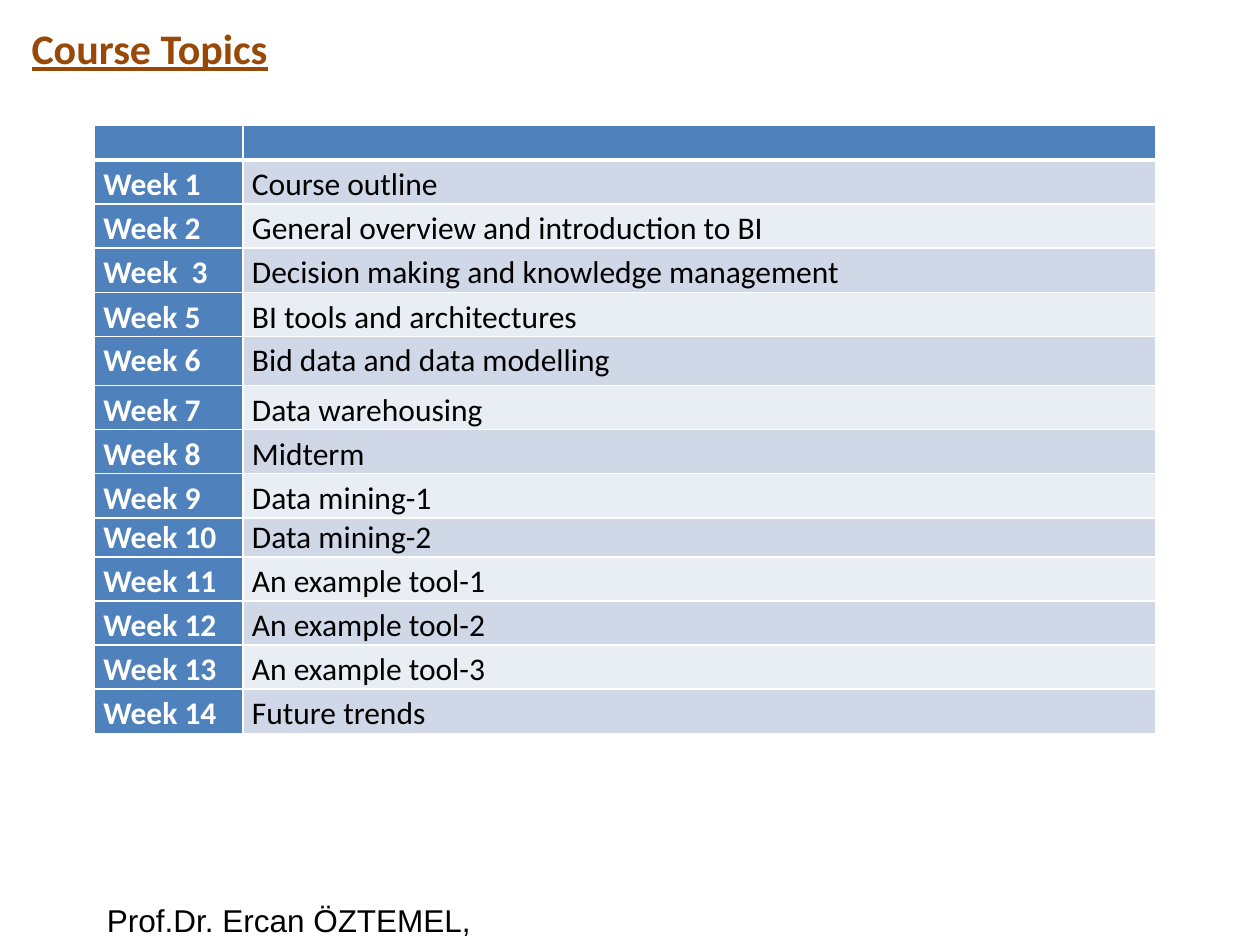
import pptx
import pptx.util
import pptx.dml.color
import pptx.enum.text
import pptx.oxml
import pptx.oxml.ns

Inches, Pt = pptx.util.Inches, pptx.util.Pt
RGB = pptx.dml.color.RGBColor
Anchor = pptx.enum.text.MSO_ANCHOR

BROWN = RGB(0x98, 0x48, 0x07)
BLUE = RGB(0x4F, 0x81, 0xBD)
BANDS = RGB(0xD0, 0xD8, 0xE8), RGB(0xE9, 0xED, 0xF4)
WHITE = RGB(0xFF, 0xFF, 0xFF)
BLACK = RGB(0, 0, 0)

TITLE = "Course Topics"
AUTHOR = "Prof.Dr. Ercan ÖZTEMEL,"
TOPICS = [
    ("Week 1", "Course outline"),
    ("Week 2", "General overview and introduction to BI"),
    ("Week  3", "Decision making and knowledge management"),
    ("Week 5", "BI tools and architectures"),
    ("Week 6", "Bid data and data modelling"),
    ("Week 7", "Data warehousing"),
    ("Week 8", "Midterm"),
    ("Week 9", "Data mining-1"),
    ("Week 10", "Data mining-2"),
    ("Week 11", "An example tool-1"),
    ("Week 12", "An example tool-2"),
    ("Week 13", "An example tool-3"),
    ("Week 14", "Future trends"),
]
WIDTHS = 1.18, 7.24
HEAD, ROW = 0.28, 0.35
SINGLE = {"Week 6": 0.39, "Week 10": 0.31}  # heights of single-spaced rows


def style(para, size, color, bold=False, face="Calibri"):
    font = para.font
    font.name, font.size, font.bold = face, Pt(size), bold
    font.color.rgb = color


def paint(cell, fill, base=1):
    """Fill a cell and give it white borders; base is the bottom width."""
    cell.fill.solid()
    cell.fill.fore_color.rgb = fill
    props = cell._tc.get_or_add_tcPr()
    for i, (side, width) in enumerate(zip("LRTB", (1, 1, 1, base))):
        props.insert(i, pptx.oxml.parse_xml(
            f'<a:ln{side} {pptx.oxml.ns.nsdecls("a")} w="{Pt(width)}">'
            f'<a:solidFill><a:srgbClr val="{WHITE}"/></a:solidFill></a:ln{side}>'))


def pad(cell, side):
    cell.margin_left = cell.margin_right = Inches(side)
    cell.margin_top = cell.margin_bottom = 0
    cell.vertical_anchor = Anchor.MIDDLE


def add_title(slide):
    title = slide.shapes.title
    title.left, title.top = Inches(0.15), Inches(0.13)
    title.width, title.height = Inches(8.5), Inches(0.65)
    frame = title.text_frame
    frame.text = TITLE
    frame.vertical_anchor = Anchor.TOP
    para = frame.paragraphs[0]
    para.alignment = pptx.enum.text.PP_ALIGN.LEFT
    style(para, 24, BROWN, True)
    para.font.underline = True


def add_topics(slide):
    heights = [HEAD] + [SINGLE.get(week, ROW) for week, _ in TOPICS]
    table = slide.shapes.add_table(
        len(heights), len(WIDTHS), Inches(0.75), Inches(0.99),
        Inches(sum(WIDTHS)), Inches(sum(heights))).table
    for col, width in zip(table.columns, WIDTHS):
        col.width = Inches(width)
    for row, height in zip(table.rows, heights):
        row.height = Inches(height)
    for cell in table.rows[0].cells:
        paint(cell, BLUE, 3)
        pad(cell, 0.1)
        end = pptx.oxml.parse_xml(
            f'<a:endParaRPr {pptx.oxml.ns.nsdecls("a")} sz="1200"/>')
        cell.text_frame.paragraphs[0]._p.append(end)
    for r, topic in enumerate(TOPICS):
        looks = (BLUE, WHITE, True), (BANDS[r % 2], BLACK, False)
        for c, (text, (fill, color, bold)) in enumerate(zip(topic, looks)):
            cell = table.cell(r + 1, c)
            cell.text = text
            paint(cell, fill)
            pad(cell, 0.07)
            para = cell.text_frame.paragraphs[0]
            para.line_spacing = 1.0 if topic[0] in SINGLE else 1.15
            style(para, 18, color, bold)


def add_author(slide):
    box = slide.shapes.add_textbox(
        Inches(0.75), Inches(7.1), Inches(3.19), Inches(0.4))
    frame = box.text_frame
    frame.word_wrap = False
    frame.auto_size = pptx.enum.text.MSO_AUTO_SIZE.SHAPE_TO_FIT_TEXT
    frame.text = AUTHOR
    style(frame.paragraphs[0], 18, BLACK, face="Arial")


def main():
    deck = pptx.Presentation()
    deck.slide_width, deck.slide_height = Inches(10), Inches(7.5)
    slide = deck.slides.add_slide(deck.slide_layouts[5])
    add_author(slide)
    add_title(slide)
    add_topics(slide)
    deck.save("out.pptx")


if __name__ == "__main__":
    main()
